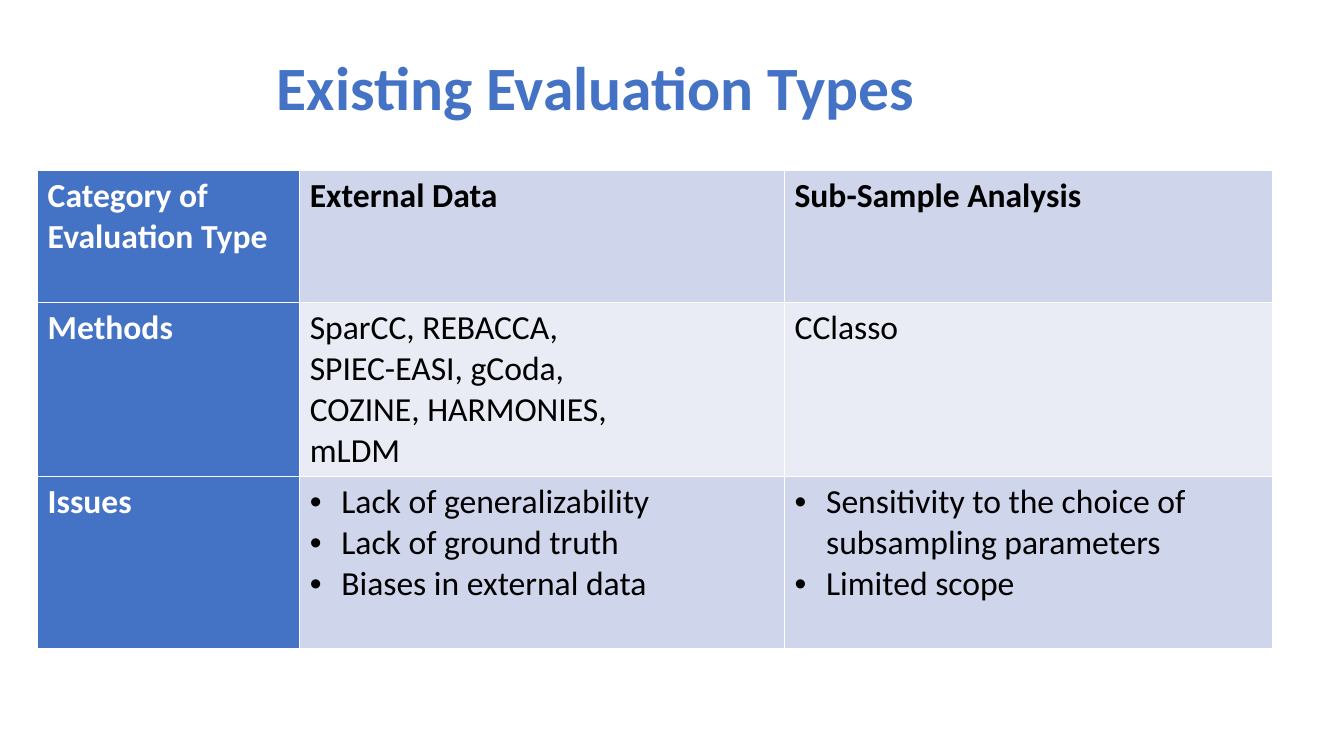
from pptx import Presentation, util as u
from pptx.dml.color import RGBColor
from pptx.enum import text
from pptx.oxml import parse_xml
from pptx.oxml.ns import nsdecls

COLORS = {"blue": "4472C4", "band": "CFD5EA", "pale": "E9EBF5",
          "white": "FFFFFF", "black": "000000"}

ROWS = [
    (["Category of Evaluation Type"], ["External Data"], ["Sub-Sample Analysis"]),
    (["Methods"],
     ["SparCC, REBACCA,", "SPIEC-EASI, gCoda,", "COZINE, HARMONIES,", "mLDM"],
     ["CClasso"]),
    (["Issues"],
     ["Lack of generalizability", "Lack of ground truth", "Biases in external data"],
     ["Sensitivity to the choice of subsampling parameters", "Limited scope"]),
]
COL_WIDTHS = [187.2, 346.3, 348.5]
ROW_HEIGHTS = [94.3, 123.1, 123.1]
ISSUES_ROW = 2


class Deck:
    font = "Calibri"

    def __init__(self, prs):
        self.s = prs.slides.add_slide(prs.slide_layouts[6])

    def words(self, tf, lines, size, color, bold):
        tf.text = "\n".join(lines)
        for p in tf.paragraphs:
            for r in p.runs:
                f = r.font
                f.name, f.size, f.bold = self.font, u.Pt(size), bold
                f.color.rgb = RGBColor.from_string(COLORS[color])

    def title(self, line, x, y, w, h):
        tf = self.s.shapes.add_textbox(*map(u.Pt, (x, y, w, h))).text_frame
        tf.word_wrap = True
        tf.vertical_anchor = text.MSO_ANCHOR.MIDDLE
        self.words(tf, [line], 44, "blue", True)
        tf.paragraphs[0].line_spacing = 0.9

    def bullets(self, tf, indent):
        for p in tf.paragraphs:
            pPr = p._p.get_or_add_pPr()
            pPr.set("marL", str(u.Pt(indent)))
            pPr.set("indent", str(-u.Pt(indent)))
            pPr.append(parse_xml(f'<a:buFont {nsdecls("a")} typeface="Arial"/>'))
            pPr.append(parse_xml(f'<a:buChar {nsdecls("a")} char="•"/>'))

    def borders(self, cell, color, width):
        tcPr = cell._tc.get_or_add_tcPr()
        for side in "LRTB":
            tcPr.append(parse_xml(
                f'<a:ln{side} {nsdecls("a")} w="{u.Pt(width)}"><a:solidFill>'
                f'<a:srgbClr val="{COLORS[color]}"/></a:solidFill></a:ln{side}>'))

    def cell(self, cell, lines, fill, color, bold):
        self.borders(cell, "white", 1)
        cell.fill.solid()
        cell.fill.fore_color.rgb = RGBColor.from_string(COLORS[fill])
        self.words(cell.text_frame, lines, 24, color, bold)

    def table(self, rows, x, y, widths, heights):
        box = map(u.Pt, (x, y, sum(widths), sum(heights)))
        tbl = self.s.shapes.add_table(len(rows), len(widths), *box).table
        for col, w in zip(tbl.columns, widths):
            col.width = u.Pt(w)
        for i, (row, h) in enumerate(zip(rows, heights)):
            tbl.rows[i].height = u.Pt(h)
            for j, lines in enumerate(row):
                c = tbl.cell(i, j)
                if j == 0:
                    self.cell(c, lines, "blue", "white", True)
                else:
                    self.cell(c, lines, "pale" if i % 2 else "band", "black", i == 0)
                    if i == ISSUES_ROW:
                        self.bullets(c.text_frame, 22.5)


def main():
    prs = Presentation()
    prs.slide_width, prs.slide_height = u.Pt(960), u.Pt(540)
    deck = Deck(prs)
    deck.table(ROWS, 26.9, 121.8, COL_WIDTHS, ROW_HEIGHTS)
    deck.title("Existing Evaluation Types", 190.8, 23.8, 578.2, 82)
    prs.save("out.pptx")


if __name__ == "__main__":
    main()
